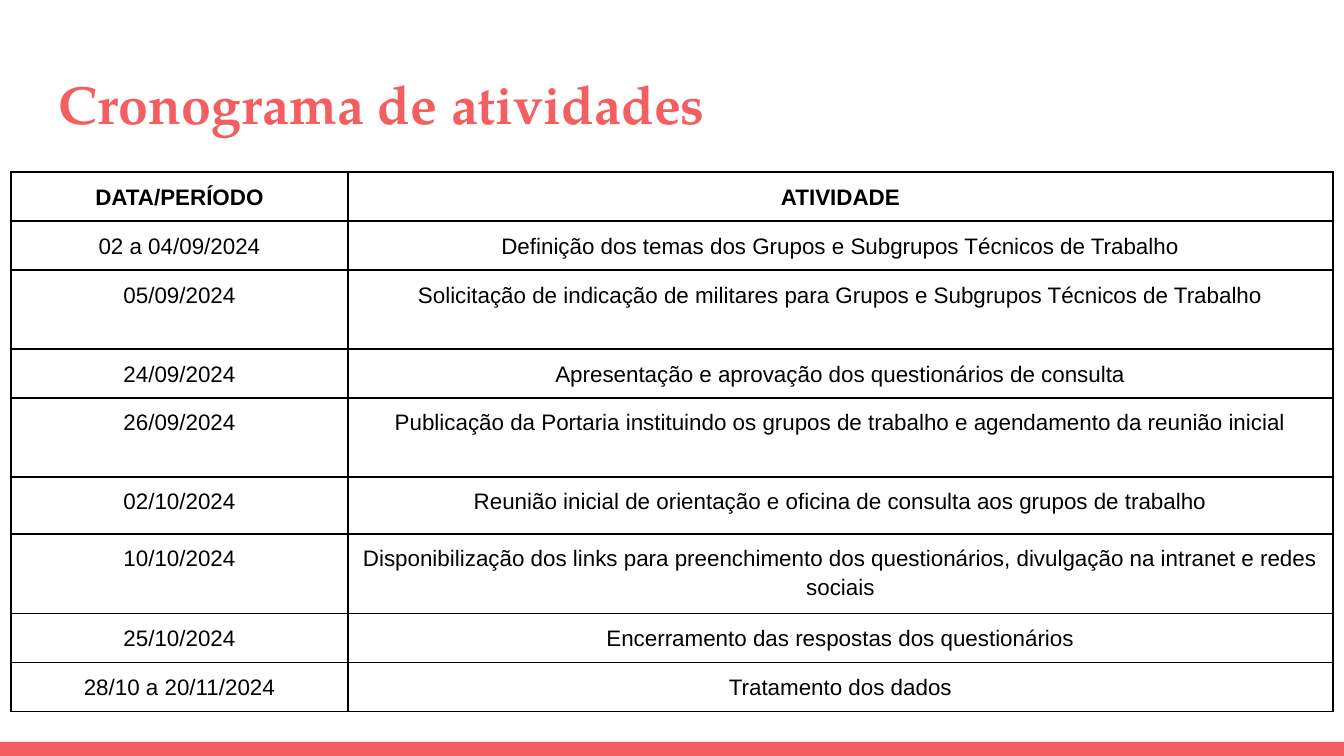
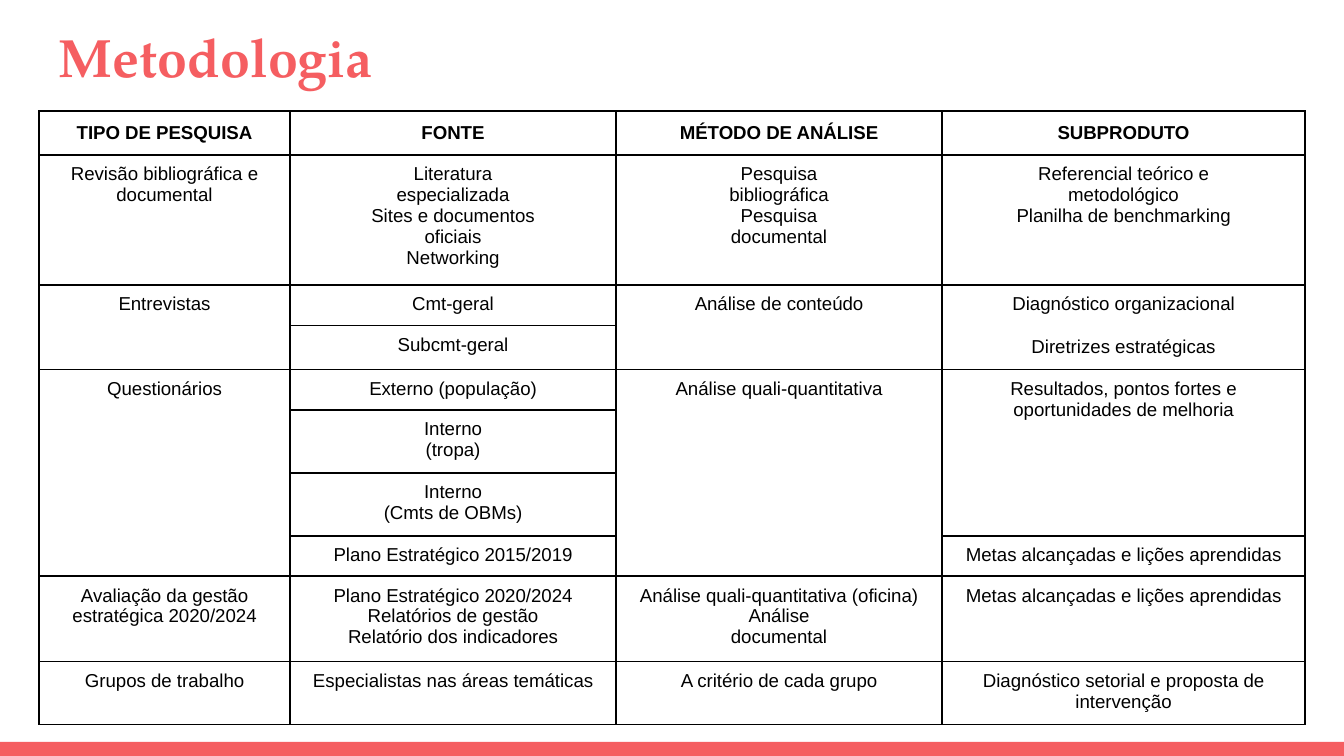
from lxml import etree
from pptx import Presentation
from pptx.dml.color import RGBColor
from pptx.enum.shapes import MSO_SHAPE
from pptx.enum.text import PP_ALIGN
from pptx.oxml.ns import qn
from pptx.util import Emu, Pt

RECTANGLE = MSO_SHAPE.RECTANGLE
CENTER = PP_ALIGN.CENTER
PIXEL = 914400 / 134.4
WIDTH, HEIGHT = 1344, 756
COLORS = {"coral": "F55E61", "black": "000000", "white": "FFFFFF"}
TITLE_FONT, BODY_FONT = "TeX Gyre Pagella", "Arial"

SCHEDULE = [
    ["DATA/PERÍODO", "ATIVIDADE"],
    ["02 a 04/09/2024", "Definição dos temas dos Grupos e Subgrupos Técnicos de Trabalho"],
    ["05/09/2024", "Solicitação de indicação de militares para Grupos e Subgrupos Técnicos de Trabalho"],
    ["24/09/2024", "Apresentação e aprovação dos questionários de consulta"],
    ["26/09/2024", "Publicação da Portaria instituindo os grupos de trabalho e agendamento da reunião inicial"],
    ["02/10/2024", "Reunião inicial de orientação e oficina de consulta aos grupos de trabalho"],
    ["10/10/2024", "Disponibilização dos links para preenchimento dos questionários, "
                   "divulgação na intranet e redes sociais"],
    ["25/10/2024", "Encerramento das respostas dos questionários"],
    ["28/10 a 20/11/2024", "Tratamento dos dados"],
]
METHODS = [
    ["TIPO DE PESQUISA", "FONTE", "MÉTODO DE ANÁLISE", "SUBPRODUTO"],
    ["Revisão bibliográfica e\ndocumental",
     "Literatura\nespecializada\nSites e documentos\noficiais\nNetworking",
     "Pesquisa\nbibliográfica\nPesquisa\ndocumental",
     "Referencial teórico e\nmetodológico\nPlanilha de benchmarking"],
    ["Entrevistas", "Cmt-geral", "Análise de conteúdo",
     "Diagnóstico organizacional\nDiretrizes estratégicas"],
    [None, "Subcmt-geral", None, None],
    ["Questionários", "Externo (população)", "Análise quali-quantitativa",
     "Resultados, pontos fortes e oportunidades de melhoria"],
    [None, "Interno\n(tropa)", None, None],
    [None, "Interno\n(Cmts de OBMs)", None, None],
    [None, "Plano Estratégico 2015/2019", None, "Metas alcançadas e lições aprendidas"],
    ["Avaliação da gestão estratégica 2020/2024",
     "Plano Estratégico 2020/2024\nRelatórios de gestão\nRelatório dos indicadores",
     "Análise quali-quantitativa (oficina)\nAnálise\ndocumental",
     "Metas alcançadas e lições aprendidas"],
    ["Grupos de trabalho", "Especialistas nas áreas temáticas", "A critério de cada grupo",
     "Diagnóstico setorial e proposta de intervenção"],
]


def px(value):
    """Convert pixels to EMU."""
    return Emu(round(value * PIXEL))


def color(name):
    """Look up a named colour."""
    return RGBColor.from_string(COLORS[name])


class Deck:
    """Holds the shared style and the current slide."""

    def __init__(self):
        """Start a presentation of the right size."""
        self.presentation = Presentation()
        self.presentation.slide_width = px(WIDTH)
        self.presentation.slide_height = px(HEIGHT)
        self.slide = None

    def add_slide(self, title, title_top):
        """Add a slide with its footer band and title."""
        self.slide = self.presentation.slides.add_slide(self.presentation.slide_layouts[6])
        self.add_band(742, 14)
        self.add_title(title, title_top)

    def add_band(self, top, height):
        """Draw a full-width coloured band."""
        band = self.slide.shapes.add_shape(RECTANGLE, 0, px(top), px(WIDTH), px(height))
        band.shadow.inherit = False
        band.fill.solid()
        band.fill.fore_color.rgb = color("coral")
        band.line.fill.background()

    def add_title(self, text, top):
        """Write the slide title."""
        frame = self.slide.shapes.add_textbox(px(46), px(top), px(1252), px(91)).text_frame
        frame.word_wrap = True
        frame.margin_left = frame.margin_right = px(13)
        frame.margin_top = frame.margin_bottom = px(13)
        frame.text = text
        self.format_runs(frame.paragraphs[0], TITLE_FONT, 28.8, "coral", True)

    def format_runs(self, paragraph, font_name, size, color_name, bold):
        """Apply one font to every run of a paragraph."""
        for run in paragraph.runs:
            run.font.name = font_name
            run.font.size = Pt(size)
            run.font.bold = bold
            run.font.color.rgb = color(color_name)

    def add_table(self, rows, left, top, widths, heights, size, body_spacing):
        """Add a bordered table, merging each None cell into the cell above."""
        frame = self.slide.shapes.add_table(len(rows), len(widths), px(left), px(top),
                                            px(sum(widths)), px(sum(heights)))
        table = frame.table
        table.first_row = table.horz_banding = False
        for column, width in zip(table.columns, widths):
            column.width = px(width)
        for row, height in zip(table.rows, heights):
            row.height = px(height)
        for row_index, texts in enumerate(rows):
            header = row_index == 0
            for column_index, text in enumerate(texts):
                self.fill_cell(table.cell(row_index, column_index), text or "", size,
                               header, 1.15 if header else body_spacing)
        for column_index in range(len(widths)):
            self.merge_column(table, rows, column_index)
        return table

    def merge_column(self, table, rows, column_index):
        """Merge each filled cell with the None cells below it."""
        start = 0
        for end in range(1, len(rows) + 1):
            if end == len(rows) or rows[end][column_index] is not None:
                if end - start > 1:
                    table.cell(start, column_index).merge(table.cell(end - 1, column_index))
                start = end

    def fill_cell(self, cell, text, size, bold, spacing):
        """Set the text, borders and fill of one cell."""
        cell.margin_left = cell.margin_right = px(9)
        cell.margin_top = cell.margin_bottom = px(9)
        cell.text_frame.text = text
        for paragraph in cell.text_frame.paragraphs:
            paragraph.alignment = CENTER
            paragraph.line_spacing = spacing
            self.format_runs(paragraph, BODY_FONT, size, "black", bold)
        properties = cell._tc.get_or_add_tcPr()
        for side in ("a:lnL", "a:lnR", "a:lnT", "a:lnB"):
            border = etree.SubElement(properties, qn(side), w=str(Pt(1)))
            fill = etree.SubElement(border, qn("a:solidFill"))
            etree.SubElement(fill, qn("a:srgbClr"), val=COLORS["black"])
        cell.fill.solid()
        cell.fill.fore_color.rgb = color("white")


def main():
    """Build both slides and save them."""
    deck = Deck()
    deck.add_slide("Cronograma de atividades", 58)
    deck.add_table(SCHEDULE, 11, 172, [337, 985],
                   [47, 48, 79, 47, 79, 57, 79, 48, 47], 12, 1.15)

    deck.add_slide("Metodologia", 11)
    methods = deck.add_table(METHODS, 39, 111, [251, 326, 326, 363],
                             [43, 122, 40, 42, 40, 60, 60, 40, 81, 60], 10, 1.0)
    methods.cell(2, 3).text_frame.paragraphs[1].space_before = Pt(11.5)
    deck.presentation.save("out.pptx")


if __name__ == "__main__":
    main()
